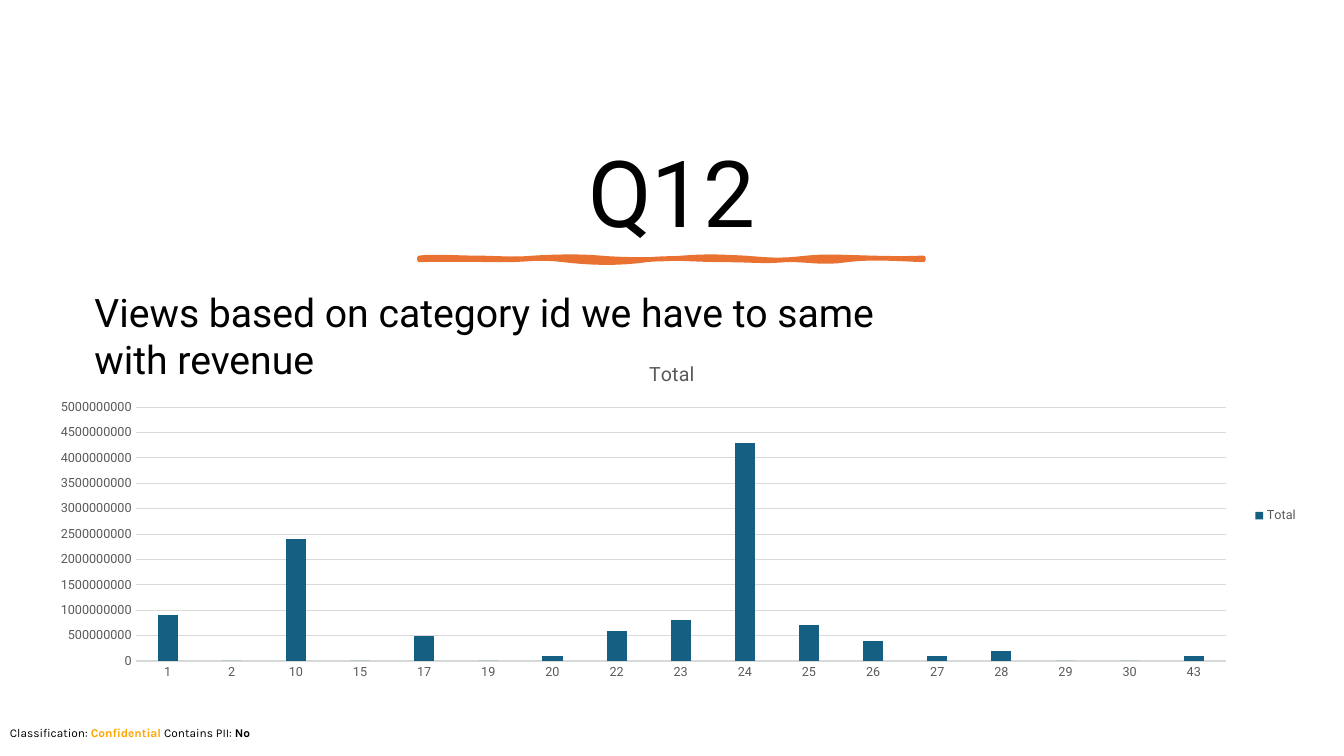
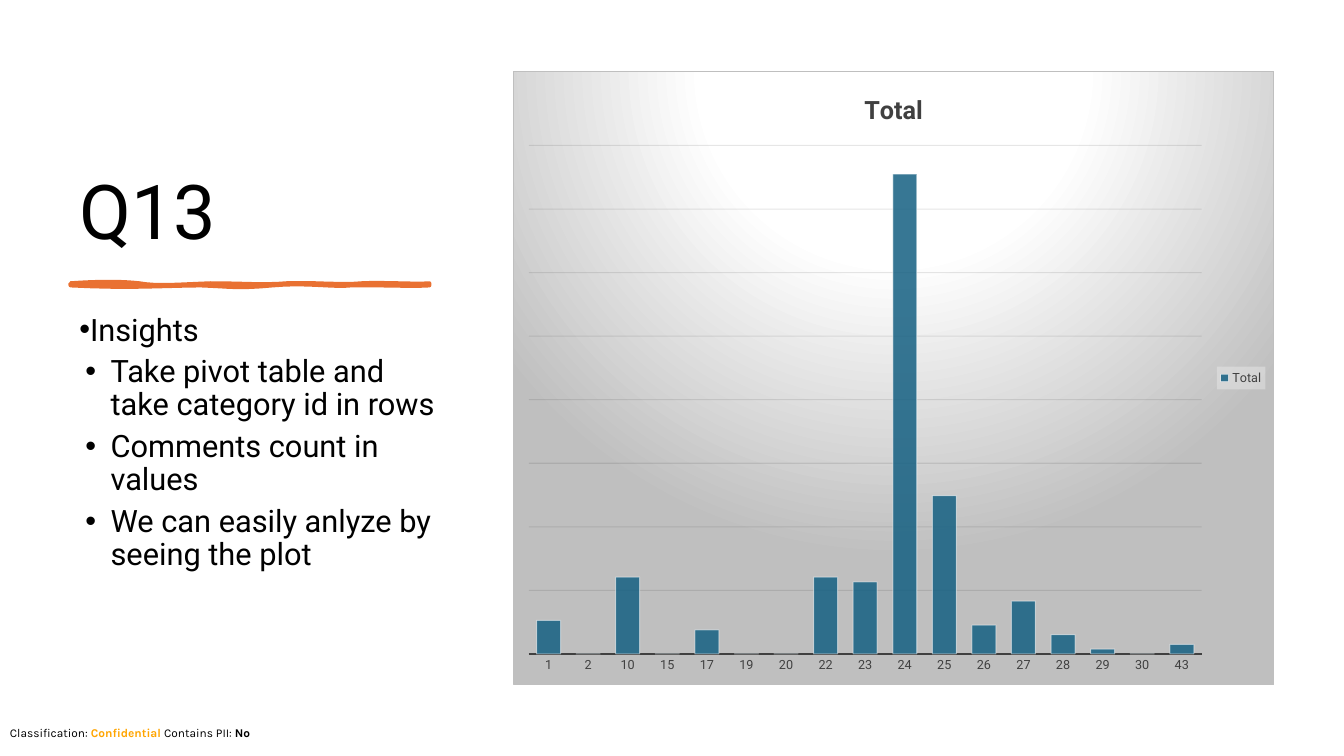
from lxml.etree import SubElement
from pptx import Presentation
from pptx.chart.data import CategoryChartData
from pptx.dml.color import RGBColor
from pptx.enum.chart import XL_CHART_TYPE, XL_LEGEND_POSITION, XL_TICK_MARK
from pptx.enum.text import MSO_ANCHOR, PP_ALIGN
from pptx.oxml import parse_xml
from pptx.oxml.ns import nsdecls, qn
from pptx.util import Cm, Pt

BLACK, ORANGE, AMBER, BLUE = "000000", "E97132", "FFA500", "156082"
FONT = "Roboto"
CATEGORIES = "1 2 10 15 17 19 20 22 23 24 25 26 27 28 29 30 43".split()
TOP, BOTTOM = MSO_ANCHOR.TOP, MSO_ANCHOR.BOTTOM
LEFT, CENTER = PP_ALIGN.LEFT, PP_ALIGN.CENTER


def rgb(value):
    return RGBColor.from_string(value)


def add_sppr(parent, content):
    """Give a chart part that already has text properties a fill and outline."""
    sppr = parse_xml(f"<c:spPr {nsdecls('c', 'a')}>{content}</c:spPr>")
    parent.find(qn("c:txPr")).addprevious(sppr)


# A run is (text, size, colour, bold, font); a paragraph is (bullet margin, runs);
# a text is (box, anchor, alignment, line spacing, paragraphs).
footer = ((0, 18.16, 33.87, 0.61), TOP, LEFT, 1, [(None, [
    ("Classification: ", 8.5, BLACK, False, "Karla"),
    ("Confidential", 8.5, AMBER, True, "Karla"),
    (" Contains PII: ", 8.5, BLACK, False, "Karla"),
    ("No", 8.5, BLACK, True, "Karla"),
])])

insights = [
    (0, "Insights"),
    (0.79, "Take pivot table and take category id in rows"),
    (0.79, "Comments count in values"),
    (0.79, "We can easily anlyze by seeing the plot"),
]

# Brush edges hold Bézier points: a start, then two controls and an end per curve.
slides = [
    {
        "texts": [
            ((1.78, 1.27, 30.3, 5.08), BOTTOM, CENTER, 0.9,
             [(None, [("Q12", 66, BLACK, False, FONT)])]),
            ((2.13, 7.14, 20.32, 2.64), TOP, LEFT, 1,
             [(None, [("Views based on category id we have to same with revenue",
                       28, BLACK, False, FONT)])]),
        ],
        "brush_at": (10.57, 6.5),
        "brush_width": 3.25,
        "brush_edges": [
            [(0, 0), (0.3, -0.05), (0.97, 0), (1.45, 0),
             (1.93, 0), (2.36, 0.05), (2.87, 0),
             (3.38, -0.03), (4.01, -0.05), (4.57, 0),
             (5.11, 0.05), (6.02, 0.05), (6.63, 0),
             (7.26, -0.05), (7.57, -0.03), (8.2, 0),
             (8.81, 0.05), (9.09, 0.08), (9.75, 0),
             (10.41, -0.08), (11.46, 0.05), (12.7, 0)],
            [(12.7, 0.05), (12.17, 0.03), (11.4, -0.03), (10.77, 0.05),
             (10.13, 0.15), (9.78, 0.03), (9.22, 0.05),
             (8.64, 0.1), (8.41, 0.05), (7.65, 0.05),
             (6.88, 0.05), (6.38, -0.03), (5.72, 0.05),
             (5.03, 0.15), (4.29, 0.13), (3.63, 0.05),
             (3, -0.03), (2.72, 0.05), (2.21, 0.05),
             (1.7, 0.05), (0.56, 0.03), (0, 0.05)],
        ],
        "chart_box": (0.89, 8.69, 32.08, 8.61),
        "values": [v * 10**8 for v in
                   (9, 0, 24, 0, 5, 0, 1, 6, 8, 43, 7, 4, 1, 2, 0, 0, 1)],
        "scale": (5 * 10**9, 5 * 10**8),
        "gap": 219, "overlap": -27,
        "text_color": "595959", "title_size": 14,
        "axis_line": ("D9D9D9", 0.75), "grid": "D9D9D9",
        "on_panel": False,
    },
    {
        "texts": [
            ((1.75, 1.78, 9.53, 4.78), BOTTOM, LEFT, 0.9,
             [(None, [("Q13", 54, BLACK, False, FONT)])]),
            ((1.75, 7.8, 9.53, 9.47), TOP, LEFT, 0.9,
             [(margin, [(text, 22, BLACK, False, FONT)]) for margin, text in insights]),
        ],
        "brush_at": (1.78, 7.14),
        "brush_width": 3,
        "brush_edges": [
            [(0, 0), (0.69, -0.05), (1.3, -0.05), (1.73, 0),
             (2.16, 0.08), (2.72, 0.03), (3.53, 0),
             (4.34, 0), (4.83, 0.05), (5.44, 0),
             (6.05, -0.03), (6.83, 0.05), (7.34, 0),
             (7.85, -0.03), (8.69, 0.03), (9.04, 0)],
            [(9.04, 0.05), (8.59, 0.08), (7.47, 0.03), (7.06, 0.05),
             (6.65, 0.1), (5.94, -0.03), (5.08, 0.05),
             (4.19, 0.13), (4.09, 0.08), (3.28, 0.05),
             (2.44, 0.05), (1.57, 0.13), (0, 0.05)],
        ],
        "chart_box": (12.93, 1.78, 19.18, 15.49),
        "values": [7, 0, 16, 0, 5, 0, 0, 16, 15, 100, 33, 6, 11, 4, 1, 0, 2],
        "scale": (106, 13.25),
        "gap": 65, "overlap": 0,
        "text_color": "404040", "title_size": 18,
        "axis_line": ("404040", 1.5), "grid": "0D0D0D",
        "on_panel": True,
    },
]

prs = Presentation()
prs.slide_width, prs.slide_height = Cm(33.87), Cm(19.05)

for item in slides:
    s = prs.slides.add_slide(prs.slide_layouts[6])

    # Chart
    data = CategoryChartData()
    data.categories = CATEGORIES
    data.add_series("Total", item["values"])
    chart = s.shapes.add_chart(XL_CHART_TYPE.COLUMN_CLUSTERED,
                               *map(Cm, item["chart_box"]), data).chart
    chart.font.name, chart.font.size = FONT, Pt(10)
    chart.font.color.rgb = rgb(BLACK)

    chart.has_title = True
    r = chart.chart_title.text_frame.paragraphs[0].add_run()
    r.text = "Total"
    r.font.size, r.font.bold = Pt(item["title_size"]), item["on_panel"]
    chart.chart_title.include_in_layout = False
    chart.has_legend = True
    chart.legend.position = XL_LEGEND_POSITION.RIGHT
    chart.legend.include_in_layout = False

    cat_axis, val_axis = chart.category_axis, chart.value_axis
    small_fonts = [chart.legend.font, cat_axis.tick_labels.font, val_axis.tick_labels.font]
    for font in small_fonts:
        font.size = Pt(9)
    for font in [r.font, *small_fonts]:
        font.name = FONT
        font.color.rgb = rgb(item["text_color"])

    for axis in (cat_axis, val_axis):
        axis.major_tick_mark = axis.minor_tick_mark = XL_TICK_MARK.NONE
    color, width = item["axis_line"]
    cat_axis.format.line.color.rgb = rgb(color)
    cat_axis.format.line.width = Pt(width)
    val_axis.format.line.fill.background()
    val_axis.minimum_scale = 0
    val_axis.maximum_scale, val_axis.major_unit = item["scale"]
    val_axis.has_major_gridlines = True
    val_axis.major_gridlines.format.line.color.rgb = rgb(item["grid"])
    val_axis.major_gridlines.format.line.width = Pt(0.75)

    plot = chart.plots[0]
    plot.vary_by_categories = False
    plot.gap_width, plot.overlap = item["gap"], item["overlap"]
    bars = plot.series[0].format
    bars.fill.solid()
    bars.fill.fore_color.rgb = rgb(BLUE)

    if item["on_panel"]:
        val_axis.visible = False
        bars.line.color.rgb = rgb("FFFFFF")
        bars.line.width = Pt(0.75)
        stops = "".join(f'<a:gs pos="{pos * 1000}"><a:srgbClr val="{c}"/></a:gs>'
                        for pos, c in ((0, "FFFFFF"), (39, "FFFFFF"), (100, "BFBFBF")))
        add_sppr(chart.element, f"""
            <a:gradFill><a:gsLst>{stops}</a:gsLst><a:path path="circle">
            <a:fillToRect l="50000" t="-80000" r="50000" b="180000"/></a:path></a:gradFill>
            <a:ln w="{Pt(0.75)}"><a:solidFill><a:srgbClr val="BFBFBF"/></a:solidFill></a:ln>""")
        add_sppr(chart.element.find(".//" + qn("c:legend")),
                 '<a:solidFill><a:srgbClr val="F2F2F2"/></a:solidFill>')
        for part, opacity in (("c:ser/c:spPr/a:solidFill", 85),
                              ("c:ser/c:spPr/a:ln/a:solidFill", 50),
                              ("c:majorGridlines/c:spPr/a:ln/a:solidFill", 10),
                              ("c:legend/c:spPr/a:solidFill", 39)):
            for clr in chart.element.xpath(f".//{part}/a:srgbClr"):
                SubElement(clr, qn("a:alpha"), val=str(opacity * 1000))

    # Brush stroke under the title
    x0, y0 = item["brush_at"]
    outline = []
    for edge in item["brush_edges"]:
        outline.append(edge[0])
        for i in range(0, len(edge) - 1, 3):
            for t in (k / 8 for k in range(1, 9)):
                weights = ((1 - t)**3, 3 * t * (1 - t)**2, 3 * t**2 * (1 - t), t**3)
                outline.append([sum(w * pt[d] for w, pt in zip(weights, edge[i:i + 4]))
                                for d in (0, 1)])
    points = [(Cm(x0 + x), Cm(y0 + y)) for x, y in outline]
    builder = s.shapes.build_freeform(*points[0])
    builder.add_line_segments(points[1:], close=True)
    sp = builder.convert_to_shape()
    sp.shadow.inherit = False
    sp.fill.solid()
    sp.fill.fore_color.rgb = rgb(ORANGE)
    sp.line.color.rgb = rgb(ORANGE)
    sp.line.width = Pt(item["brush_width"])

    # Title, body and footer
    for box, anchor, align, spacing, paragraphs in [*item["texts"], footer]:
        tf = s.shapes.add_textbox(*map(Cm, box)).text_frame
        tf.word_wrap, tf.vertical_anchor = True, anchor
        for i, (margin, runs) in enumerate(paragraphs):
            p = tf.add_paragraph() if i else tf.paragraphs[0]
            p.alignment, p.line_spacing = align, spacing
            if margin is not None:
                p.space_after = Pt(6)
                ppr = p._p.get_or_add_pPr()
                ppr.set("marL", str(Cm(margin)))
                ppr.set("indent", str(Cm(-0.64)))
                SubElement(ppr, qn("a:buFont"), typeface="Arial")
                SubElement(ppr, qn("a:buChar"), char="•")
            for text, size, color, bold, font in runs:
                r = p.add_run()
                r.text = text
                r.font.name, r.font.size, r.font.bold = font, Pt(size), bold
                r.font.color.rgb = rgb(color)

prs.save("out.pptx")
